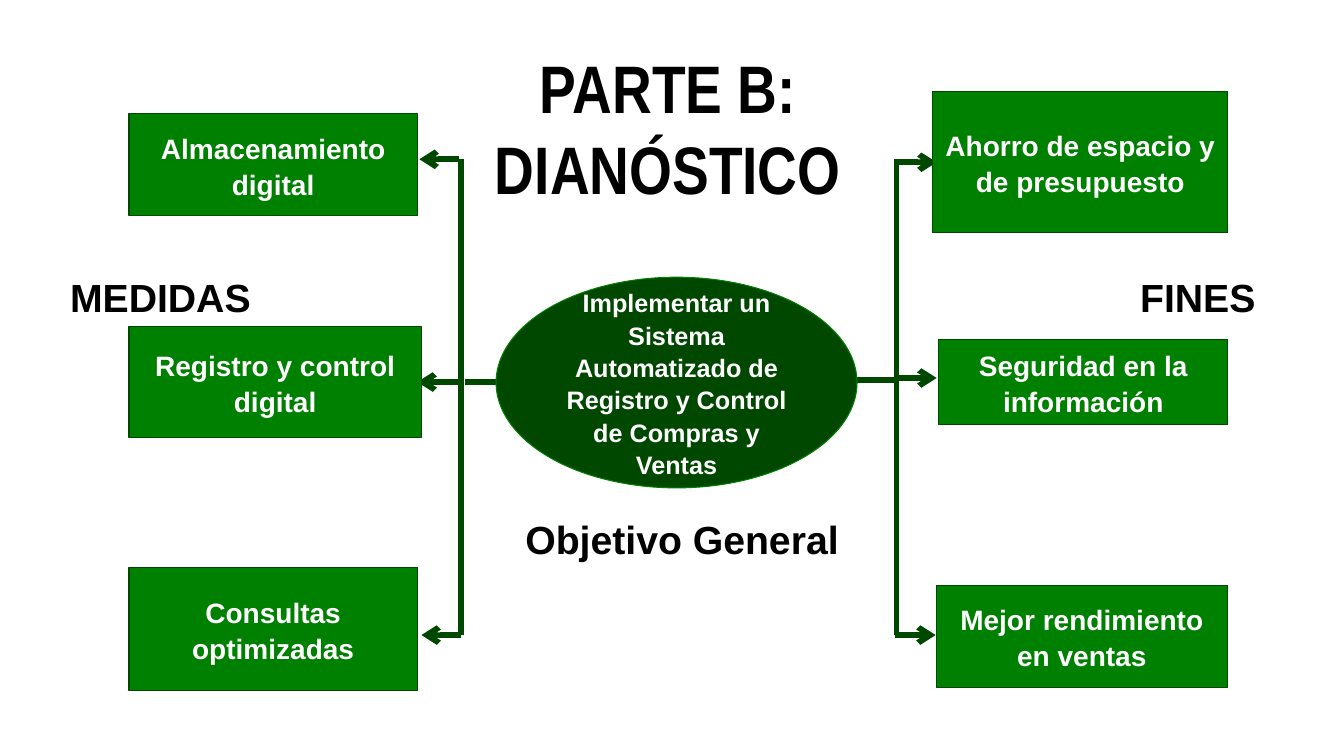
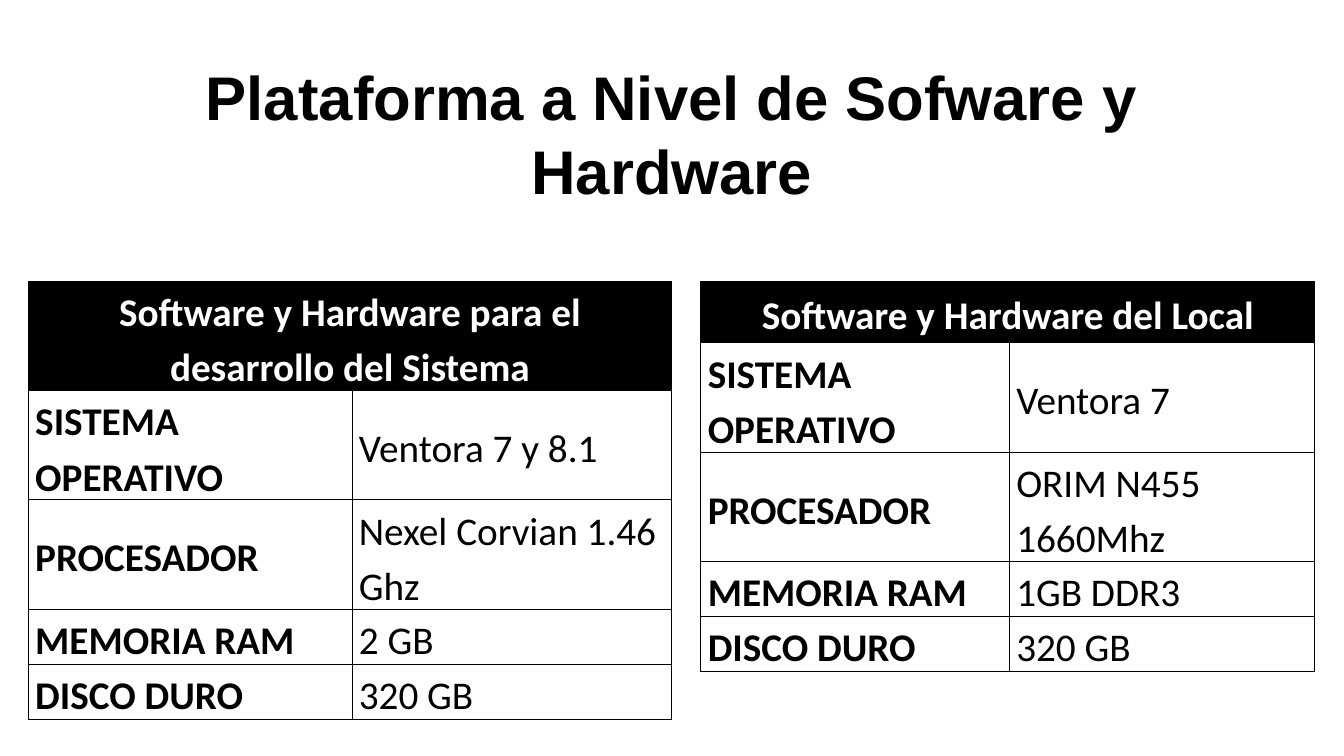
from dataclasses import dataclass

from lxml import etree
from pptx import Presentation
from pptx.dml.color import RGBColor
from pptx.enum.shapes import MSO_CONNECTOR, MSO_SHAPE
from pptx.enum.text import MSO_ANCHOR, PP_ALIGN
from pptx.oxml import parse_xml
from pptx.oxml.ns import nsdecls, qn
from pptx.util import Pt

RECT, OVAL = MSO_SHAPE.RECTANGLE, MSO_SHAPE.OVAL
LINE = MSO_CONNECTOR.STRAIGHT
LEFT, CENTER = PP_ALIGN.LEFT, PP_ALIGN.CENTER
MIDDLE = MSO_ANCHOR.MIDDLE
PX = 9144  # 100 px to the inch


@dataclass(frozen=True)
class Theme:
    dark: str = "004800"
    green: str = "008000"
    black: str = "000000"
    white: str = "FFFFFF"
    sans: str = "Arial"
    slim: str = "Arial Narrow"
    body: str = "Calibri"
    lead: int = 48
    title: int = 44
    label: int = 28
    box: int = 20
    goal: int = 18


T = Theme()


def write(frame, text, size, color=T.black, face=T.sans, bold=True,
          align=CENTER, space=None):
    """Fill a text frame with one paragraph in one format."""
    frame.word_wrap = True
    para = frame.paragraphs[0]
    para.text = text
    para.alignment = align
    if space:
        para.line_spacing = space
        para.space_after = Pt(8)
    font = para.runs[0].font
    font.size, font.name, font.bold = Pt(size), face, bold
    font.color.rgb = RGBColor.from_string(color)


def place(*spots):
    return [spot * PX for spot in spots]


deck = Presentation()
deck.slide_width, deck.slide_height = place(1333, 750)
blank = deck.slide_layouts[6]
goals, specs = [deck.slides.add_slide(blank) for _ in range(2)]

# Text outside the boxes and tables
labels = [
    (goals, (372, 41, 581, 91), "PARTE B: DIANÓSTICO", T.lead, T.slim),
    (goals, (50, 266, 218, 57), "MEDIDAS", T.label, T.sans),
    (goals, (1079, 266, 218, 57), "FINES", T.label, T.sans),
    (goals, (500, 506, 353, 57), "Objetivo General", T.label, T.sans),
    (specs, (162, 54, 1009, 158), "Plataforma a Nivel de Sofware y Hardware",
     T.title, T.sans),
]
for slide, spot, text, size, face in labels:
    area = slide.shapes.add_textbox(*place(*spot))
    write(area.text_frame, text, size, face=face)

# Trunks, stems and arrows of the tree
lines = [
    (492, 379, 461, 379, False),
    (457, 158, 457, 630, False),
    (455, 158, 416, 158, True),
    (454, 379, 414, 379, True),
    (457, 630, 418, 630, True),
    (889, 377, 850, 377, False),
    (889, 630, 889, 158, False),
    (890, 161, 929, 161, True),
    (890, 375, 929, 375, True),
    (888, 630, 928, 630, True),
]
for *ends, arrow in lines:
    link = goals.shapes.add_connector(LINE, *place(*ends))
    link.line.color.rgb = RGBColor.from_string(T.dark)
    link.line.width = Pt(4)
    if arrow:
        etree.SubElement(link.line._get_or_add_ln(), qn("a:tailEnd"),
                         type="arrow")
    etree.SubElement(link._element.spPr, qn("a:effectLst"))

# Goal in the middle, measures on the left, ends on the right
side = (RECT, T.green, T.dark, T.box)
nodes = [
    ((OVAL, T.dark, T.green, T.goal), (492, 275, 358, 209),
     "Implementar un Sistema Automatizado de Registro y Control "
     "de Compras y Ventas"),
    (side, (128, 113, 286, 101), "Almacenamiento digital"),
    (side, (128, 324, 290, 110), "Registro y control digital"),
    (side, (128, 563, 286, 122), "Consultas optimizadas"),
    (side, (925, 91, 293, 140), "Ahorro de espacio y de presupuesto"),
    (side, (931, 337, 287, 84), "Seguridad en la información"),
    (side, (929, 581, 288, 101), "Mejor rendimiento en ventas"),
]
for (kind, fill, edge, size), spot, text in nodes:
    node = goals.shapes.add_shape(kind, *place(*spot))
    node.shadow.inherit = False
    node.fill.solid()
    node.fill.fore_color.rgb = RGBColor.from_string(fill)
    node.line.color.rgb = RGBColor.from_string(edge)
    node.line.width = Pt(0.75)
    node.text_frame.vertical_anchor = MIDDLE
    write(node.text_frame, text, size, T.white, space=1.07)

# Equipment tables
names = ["SISTEMA OPERATIVO", "PROCESADOR", "MEMORIA RAM", "DISCO DURO"]
tables = [
    (28, (321, 317), (52, 35, 40, 34, 34),
     "Software y Hardware para el desarrollo del Sistema",
     ["Ventora 7 y 8.1", "Nexel Corvian 1.46 Ghz", "2 GB", "320 GB"]),
    (695, (306, 303), (61, 51, 100, 51, 51),
     "Software y Hardware del Local",
     ["Ventora 7", "ORIM N455 1660Mhz", "1GB DDR3", "320 GB"]),
]
for left, wides, highs, head, values in tables:
    spot = place(left, 279, sum(wides), sum(highs))
    grid = specs.shapes.add_table(len(highs), len(wides), *spot).table
    grid.first_row = grid.horz_banding = False
    for col, wide in zip(grid.columns, wides):
        col.width = wide * PX
    for row, high in zip(grid.rows, highs):
        row.height = high * PX
    grid.cell(0, 0).merge(grid.cell(0, 1))
    texts = [(head, "")] + list(zip(names, values))
    for r, pair in enumerate(texts):
        for c, text in enumerate(pair):
            cell = grid.cell(r, c)
            cell.vertical_anchor = MIDDLE
            cell.margin_left = cell.margin_right = 7 * PX
            cell.margin_top, cell.margin_bottom = PX, 0
            props = cell._tc.get_or_add_tcPr()
            for edge in "LRTB":
                props.append(parse_xml(
                    f'<a:ln{edge} {nsdecls("a")} w="{Pt(0.5)}"><a:solidFill>'
                    f'<a:srgbClr val="{T.black}"/></a:solidFill></a:ln{edge}>'))
            cell.fill.solid()
            cell.fill.fore_color.rgb = RGBColor.from_string(
                T.white if r else T.black)
            if text:
                write(cell.text_frame, text, T.label,
                      T.black if r else T.white, T.body, bold=c == 0,
                      align=LEFT if r else CENTER, space=1.15)

deck.save("out.pptx")
